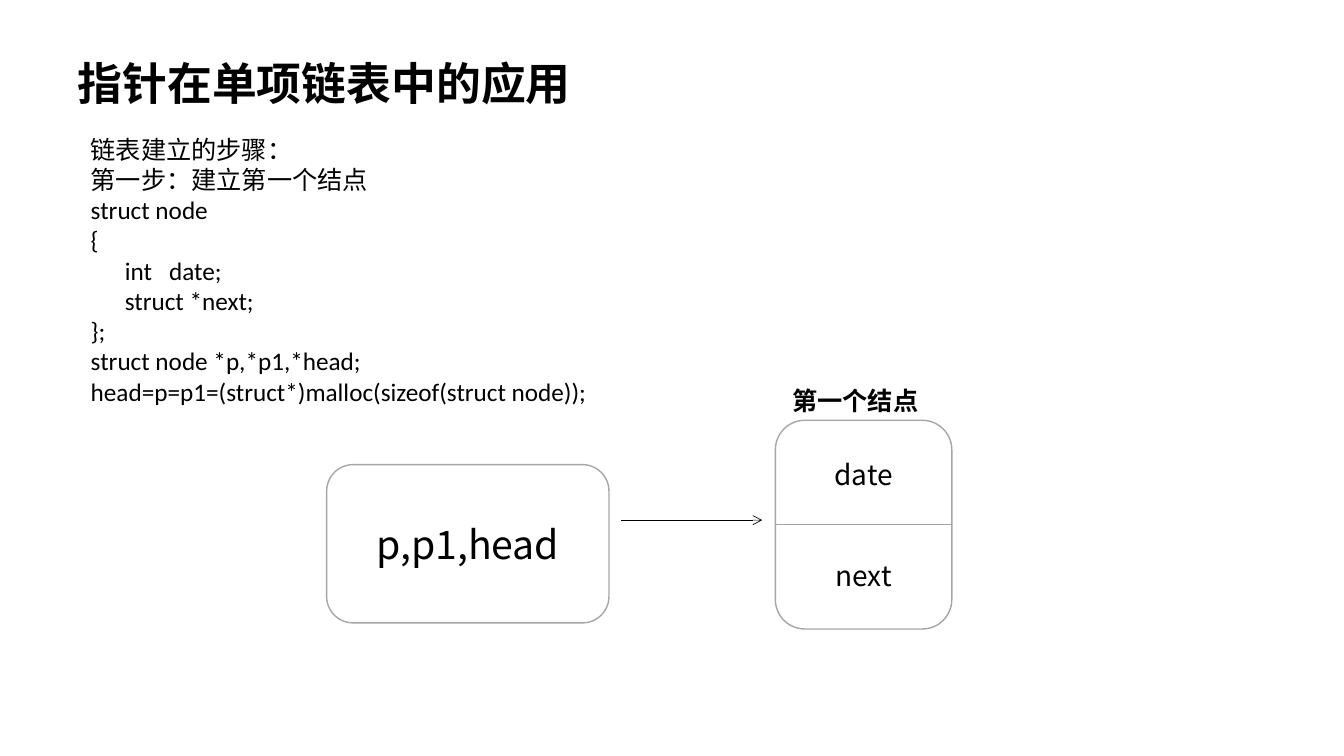
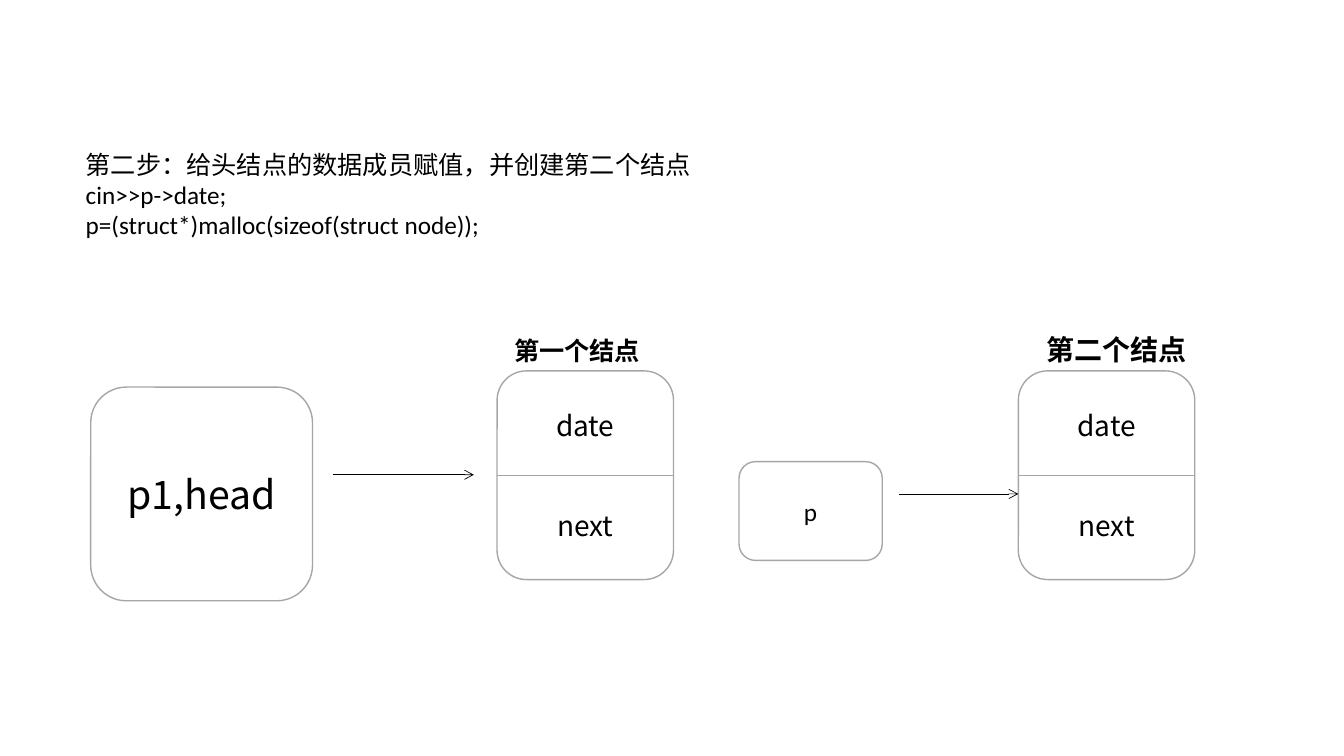
"""Build two slides on creating a singly linked list with pointers."""
from dataclasses import dataclass
from typing import Optional

from lxml.etree import SubElement
from pptx import Presentation
from pptx.dml.color import RGBColor
from pptx.enum.shapes import MSO_CONNECTOR, MSO_SHAPE
from pptx.enum.text import MSO_ANCHOR, MSO_AUTO_SIZE, PP_ALIGN
from pptx.oxml.ns import qn
from pptx.util import Inches, Pt

COLORS = {"ink": "000000", "outline": "A6A6A6", "paper": "FFFFFF"}
HEADING_FONT = "Noto Sans CJK JP"
CODE_FONT = "Calibri"
LINE_RATIO = 1.2
NODE_WIDTH, NODE_HEIGHT = 1.75, 2.07
FIELD_GAP = 48
FRAME_FORMAT = {"word_wrap": True, "auto_size": MSO_AUTO_SIZE.NONE}


@dataclass(frozen=True)
class Area:
    left: float
    top: float
    width: float
    height: float

    def lengths(self) -> tuple:
        return tuple(Inches(n) for n in (self.left, self.top, self.width, self.height))


@dataclass(frozen=True)
class TextStyle:
    size: int
    font: str = HEADING_FONT
    bold: bool = False
    align: PP_ALIGN = PP_ALIGN.LEFT
    anchor: MSO_ANCHOR = MSO_ANCHOR.TOP
    gap: int = 0


@dataclass(frozen=True)
class Pointer:
    text: str
    area: Area
    style: TextStyle


@dataclass(frozen=True)
class Arrow:
    start: float
    end: float
    y: float


@dataclass(frozen=True)
class Node:
    label: str
    left: float
    top: float
    label_offset: float
    label_size: int


@dataclass(frozen=True)
class Step:
    lines: tuple[str, ...]
    area: Area
    pointers: tuple[Pointer, ...]
    arrows: tuple[Arrow, ...]
    nodes: tuple[Node, ...]
    title: Optional[str] = None


CENTERED = {"align": PP_ALIGN.CENTER, "anchor": MSO_ANCHOR.MIDDLE}
TITLE_STYLE = TextStyle(32, bold=True)
CODE_STYLE = TextStyle(18, CODE_FONT)
LARGE_POINTER = TextStyle(28, **CENTERED)
SMALL_POINTER = TextStyle(18, CODE_FONT, **CENTERED)
NODE_STYLE = TextStyle(20, gap=FIELD_GAP, **CENTERED)
TITLE_AREA = Area(0.67, 0.5, 5.12, 0.64)

STEPS = (
    Step(
        title="指针在单项链表中的应用",
        lines=(
            "链表建立的步骤：",
            "第一步：建立第一个结点",
            "struct node",
            "{",
            "      int   date;",
            "      struct *next;",
            "};",
            "struct node *p,*p1,*head;",
            "head=p=p1=(struct*)malloc(sizeof(struct node));",
        ),
        area=Area(0.8, 1.28, 5.4, 2.83),
        pointers=(Pointer("p,p1,head", Area(3.24, 4.61, 2.8, 1.57), LARGE_POINTER),),
        arrows=(Arrow(6.16, 7.56, 5.16),),
        nodes=(Node("第一个结点", 7.69, 4.17, 0.07, 18),),
    ),
    Step(
        lines=(
            "第二步：给头结点的数据成员赋值，并创建第二个结点",
            "cin>>p->date;",
            "p=(struct*)malloc(sizeof(struct node));",
        ),
        area=Area(0.75, 1.43, 6.6, 1.01),
        pointers=(
            Pointer("p1,head", Area(0.9, 3.84, 2.2, 2.12), LARGE_POINTER),
            Pointer("p", Area(7.33, 4.58, 1.42, 0.98), SMALL_POINTER),
        ),
        arrows=(Arrow(3.3, 4.7, 4.71), Arrow(8.92, 10.1, 4.9)),
        nodes=(
            Node("第一个结点", 4.93, 3.68, 0.07, 18),
            Node("第二个结点", 10.1, 3.68, 0.18, 20),
        ),
    ),
)


def color(name: str) -> RGBColor:
    return RGBColor.from_string(COLORS[name])


def apply_format(target, values: dict) -> None:
    for name, value in values.items():
        setattr(target, name, value)


def write(frame, lines: tuple[str, ...], style: TextStyle) -> None:
    apply_format(frame, {**FRAME_FORMAT, "vertical_anchor": style.anchor})
    for index, line in enumerate(lines):
        para = frame.paragraphs[0] if index == 0 else frame.add_paragraph()
        apply_format(para, {
            "alignment": style.align,
            "line_spacing": Pt(style.size * LINE_RATIO),
            "space_before": Pt(style.gap if index else 0),
        })
        span = para.add_run()
        span.text = line
        apply_format(span.font, {"name": style.font, "size": Pt(style.size), "bold": style.bold})
        span.font.color.rgb = color("ink")
        if style.font == HEADING_FONT:
            SubElement(span.font._element, qn("a:ea"), typeface=style.font)


def place(holder, area: Area) -> None:
    apply_format(holder, dict(zip(("left", "top", "width", "height"), area.lengths())))


def add_body(page, step: Step) -> None:
    body = page.placeholders[1]
    place(body, step.area)
    write(body.text_frame, step.lines, CODE_STYLE)
    for para in body.text_frame.paragraphs:
        properties = para._p.get_or_add_pPr()
        properties.set("marL", "0")
        properties.set("indent", "0")
        SubElement(properties, qn("a:buNone"))


def add_box(page, area: Area, lines: tuple[str, ...], style: TextStyle) -> None:
    box = page.shapes.add_shape(MSO_SHAPE.ROUNDED_RECTANGLE, *area.lengths())
    box.shadow.inherit = False
    box.fill.solid()
    box.fill.fore_color.rgb = color("paper")
    box.line.color.rgb = color("outline")
    box.line.width = Pt(1)
    write(box.text_frame, lines, style)


def add_line(page, start: float, end: float, y: float, tint: str, arrow: bool = False) -> None:
    line = page.shapes.add_connector(
        MSO_CONNECTOR.STRAIGHT, Inches(start), Inches(y), Inches(end), Inches(y)
    )
    line.line.color.rgb = color(tint)
    line.line.width = Pt(0.5)
    properties = line._element.spPr
    if arrow:
        SubElement(properties.find(qn("a:ln")), qn("a:tailEnd"), type="arrow")
    SubElement(properties, qn("a:effectLst"))


def add_node(page, node: Node) -> None:
    add_box(page, Area(node.left, node.top, NODE_WIDTH, NODE_HEIGHT), ("date", "next"), NODE_STYLE)
    add_line(page, node.left, node.left + NODE_WIDTH, node.top + NODE_HEIGHT / 2, "outline")
    height = node.label_size * LINE_RATIO / 72 + 0.1
    area = Area(node.left + node.label_offset, node.top - height, NODE_WIDTH, height)
    label = page.shapes.add_textbox(*area.lengths())
    write(label.text_frame, (node.label,), TextStyle(node.label_size, bold=True))


def add_step(deck, step: Step) -> None:
    page = deck.slides.add_slide(deck.slide_layouts[1])
    title = page.shapes.title
    if step.title:
        place(title, TITLE_AREA)
        write(title.text_frame, (step.title,), TITLE_STYLE)
    else:
        title._element.getparent().remove(title._element)
    add_body(page, step)
    for pointer in step.pointers:
        add_box(page, pointer.area, (pointer.text,), pointer.style)
    for node in step.nodes:
        add_node(page, node)
    for arrow in step.arrows:
        add_line(page, arrow.start, arrow.end, arrow.y, "ink", arrow=True)


def main() -> None:
    deck = Presentation()
    deck.slide_width, deck.slide_height = Inches(13.33), Inches(7.5)
    for step in STEPS:
        add_step(deck, step)
    deck.save("out.pptx")


if __name__ == "__main__":
    main()
